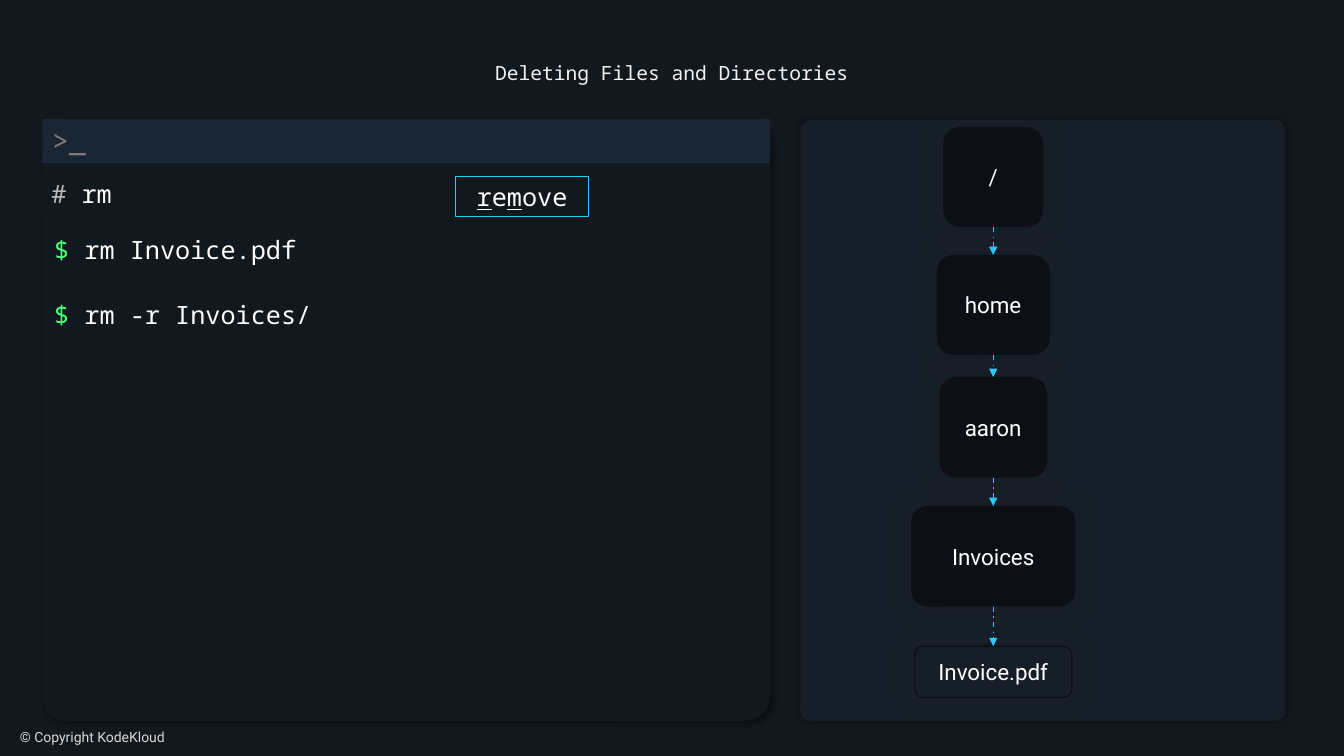
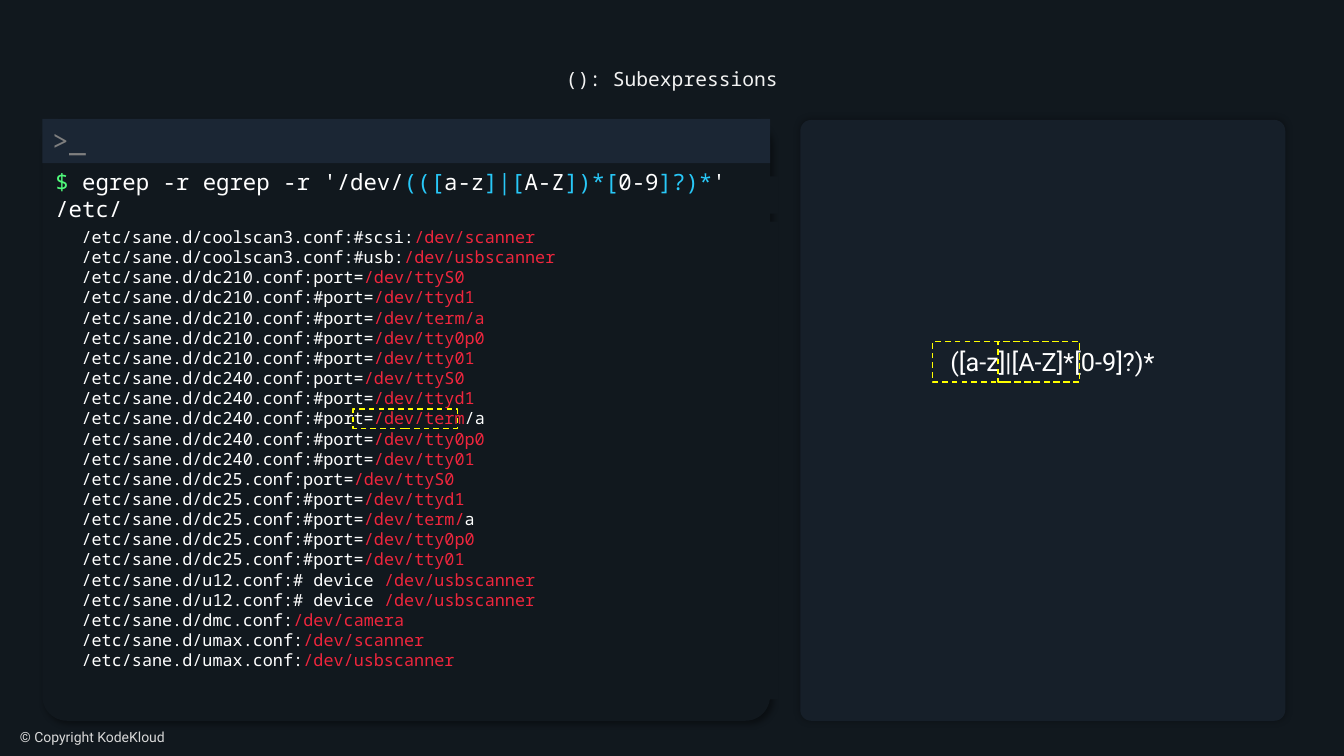
"""Build two dark terminal slides: deleting files, and regex subexpressions."""
from lxml import etree
from pptx import Presentation
from pptx.dml.color import RGBColor
from pptx.enum.dml import MSO_LINE
from pptx.enum.shapes import MSO_CONNECTOR, MSO_SHAPE
from pptx.enum.text import MSO_ANCHOR, MSO_AUTO_SIZE, PP_ALIGN
from pptx.oxml.ns import qn
from pptx.util import Inches, Pt

RECT, ROUND = MSO_SHAPE.RECTANGLE, MSO_SHAPE.ROUNDED_RECTANGLE
STRAIGHT = MSO_CONNECTOR.STRAIGHT
DASH, DASH_DOT = MSO_LINE.DASH, MSO_LINE.DASH_DOT
TOP, MIDDLE = MSO_ANCHOR.TOP, MSO_ANCHOR.MIDDLE
LEFT, CENTER = PP_ALIGN.LEFT, PP_ALIGN.CENTER
GROW, FIXED = MSO_AUTO_SIZE.SHAPE_TO_FIT_TEXT, MSO_AUTO_SIZE.NONE


class Theme:
    """Colours, fonts, type sizes and shadows of the deck."""
    back, panel, bar, node = "11181E", "161F29", "1B2634", "0C1016"
    white, title, footer, muted, hash = "FFFFFF", "F2F2F2", "D8D8D8", "7F7F7F", "BABABA"
    green, cyan, red, yellow = "50FA7B", "28C8F8", "EF263D", "FFFF00"
    mono, sans = "Noto Sans Mono", "Roboto"
    small, output, heading, body, command, prompt = 10, 12, 14, 16, 18, 20
    panel_shadow = ("000000", 30, 5, 0, 0)
    terminal_shadow = ("000000", 40, 4, 3, 45)
    node_shadow = ("181818", 30, 15.4, 0, 0)


prs = Presentation()
prs.slide_width, prs.slide_height = Inches(13.33), Inches(7.5)
COL, ROW = prs.slide_width / 100, prs.slide_height / 100
blank = prs.slide_layouts[6]
background = prs.slide_master.background.fill
background.solid()
background.fore_color.rgb = RGBColor.from_string(Theme.back)


def add_box(s, grid, kind=None, fill=None, line=None, width=1, dash=None, radius=None, shadow=None):
    """Add a shape, or a text box if kind is None, at a place in columns and rows."""
    x, y, w, h = grid
    place = [int(n) for n in (x * COL, y * ROW, w * COL, h * ROW)]
    if kind is None:
        return s.shapes.add_textbox(*place)
    sp = s.shapes.add_shape(kind, *place)
    sp.shadow.inherit = False
    if radius is not None:
        sp.adjustments[0] = radius
    for part, color in ((sp.fill, fill), (sp.line.fill, line)):
        if color:
            part.solid()
            part.fore_color.rgb = RGBColor.from_string(color)
        else:
            part.background()
    if line:
        sp.line.width = Pt(width)
        sp.line.dash_style = dash
    if shadow:
        color, alpha, blur, dist, angle = shadow
        effects = sp._element.spPr.find(qn("a:effectLst"))
        outer = etree.SubElement(effects, qn("a:outerShdw"), blurRad=str(Pt(blur)),
                                 dist=str(Pt(dist)), dir=str(angle * 60000), rotWithShape="0")
        rgb = etree.SubElement(outer, qn("a:srgbClr"), val=color)
        etree.SubElement(rgb, qn("a:alpha"), val=str(alpha * 1000))
    return sp


def write(sp, lines, size, name=Theme.mono, align=LEFT, anchor=MIDDLE, auto=GROW):
    """Fill a shape with lines, each a list of (text, colour[, underline]) runs."""
    tf = sp.text_frame
    frame = {"word_wrap": True, "auto_size": auto, "vertical_anchor": anchor,
             "margin_left": Inches(0.1), "margin_right": Inches(0.1),
             "margin_top": Inches(0.05), "margin_bottom": Inches(0.05)}
    for key, value in frame.items():
        setattr(tf, key, value)
    for i, runs in enumerate(lines):
        p = tf.paragraphs[0] if i == 0 else tf.add_paragraph()
        p.alignment = align
        for text, color, *underline in runs:
            r = p.add_run()
            r.text = text
            for key, value in {"size": Pt(size), "name": name, "underline": bool(underline)}.items():
                setattr(r.font, key, value)
            r.font.color.rgb = RGBColor.from_string(color)


slides = []
for title, title_row in (("Deleting Files and Directories", 5.2), ("(): Subexpressions", 6)):
    s = prs.slides.add_slide(blank)
    write(add_box(s, (0, 95.73, 13.73, 4.27)), [[("© Copyright KodeKloud", Theme.footer)]],
          Theme.small, Theme.sans, CENTER, TOP)
    add_box(s, (59.55, 15.87, 36.08, 79.47), ROUND, Theme.panel, radius=0.022, shadow=Theme.panel_shadow)
    add_box(s, (3.15, 15.87, 54.15, 79.47), ROUND, Theme.back, radius=0.041, shadow=Theme.terminal_shadow)
    write(add_box(s, (3.15, 15.73, 54.15, 5.87), RECT, Theme.bar), [[(">_", Theme.muted)]],
          Theme.prompt, anchor=TOP)
    write(add_box(s, (33.75, title_row, 32.5, 8.8)), [[(title, Theme.title)]],
          Theme.heading, align=CENTER, auto=FIXED)
    slides.append(s)
deleting, regex = slides

commands = [("$", Theme.green, " rm Invoice.pdf", (3.3, 30.27, 46.2, 5.33)),
            ("$", Theme.green, " rm -r Invoices/", (3.3, 38.93, 46.2, 5.33)),
            ("#", Theme.hash, " rm", (3.08, 22.93, 36.45, 5.33))]
for sign, color, text, grid in commands:
    write(add_box(deleting, grid, RECT, Theme.back), [[(sign, color), (text, Theme.white)]], Theme.command)

remove = add_box(deleting, (33.9, 23.33, 9.9, 5.33), RECT, line=Theme.cyan, width=0.75)
write(remove, [[("r", Theme.white, True), ("e", Theme.white), ("m", Theme.white, True), ("ove", Theme.white)]],
      Theme.command, align=CENTER, anchor=TOP)

TREE_AXIS = 73.9
tree = [("/", 16.8, 7.43, 13.2), ("home", 33.73, 8.4, 13.2), ("aaron", 49.87, 8.03, 13.3),
        ("Invoices", 66.93, 12.23, 13.3), ("Invoice.pdf", 85.47, 11.7, 6.8)]
parent = None
for name, row, width, height in tree:
    is_file = name.endswith(".pdf")
    look = {"line": Theme.node} if is_file else {"fill": Theme.node}
    node = add_box(deleting, (TREE_AXIS - width / 2, row, width, height), ROUND,
                   radius=0.167, shadow=Theme.node_shadow, **look)
    write(node, [[(name, Theme.white)]], Theme.body, Theme.sans, CENTER, auto=FIXED)
    if parent is not None:
        arrow = deleting.shapes.add_connector(STRAIGHT, 0, 0, 0, 0)
        arrow.begin_connect(parent, 2)
        arrow.end_connect(node, 0)
        arrow.line.color.rgb = RGBColor.from_string(Theme.cyan)
        arrow.line.width = Pt(1)
        arrow.line.dash_style = DASH_DOT
        spPr = arrow._element.spPr
        etree.SubElement(spPr.find(qn("a:ln")), qn("a:tailEnd"), type="triangle")
        etree.SubElement(spPr, qn("a:effectLst"))
    parent = node

pattern = [("$", Theme.green), (" egrep -r egrep -r '/dev/", Theme.white)]
for symbols, text in (("(([", "a-z"), ("]|[", "A-Z"), ("])*[", "0-9"), ("]?)*", "' /etc/")):
    pattern += [(symbols, Theme.cyan), (text, Theme.white)]
write(add_box(regex, (3.38, 23.33, 54.53, 4.93), RECT, Theme.back), [pattern], Theme.body)

matches = [("coolscan3.conf:#scsi:", "/dev/scanner", ""), ("coolscan3.conf:#usb:", "/dev/usbscanner", "")]
for conf, term, rest in (("dc210", "/dev/term/a", ""), ("dc240", "/dev/term", "/a"), ("dc25", "/dev/term/", "a")):
    matches.append((f"{conf}.conf:port=", "/dev/ttyS0", ""))
    for device, tail in (("/dev/ttyd1", ""), (term, rest), ("/dev/tty0p0", ""), ("/dev/tty01", "")):
        matches.append((f"{conf}.conf:#port=", device, tail))
matches += [("u12.conf:# device ", "/dev/usbscanner", "")] * 2
matches += [("dmc.conf:", "/dev/camera", ""), ("umax.conf:", "/dev/scanner", ""),
            ("umax.conf:", "/dev/usbscanner", "")]
output = []
for source, device, tail in matches:
    runs = [("/etc/sane.d/" + source, Theme.white), (device, Theme.red)]
    output.append(runs + [(tail, Theme.white)] if tail else runs)
write(add_box(regex, (5.33, 29.33, 52.58, 63.2), RECT, Theme.back), output, Theme.output, anchor=TOP)

write(add_box(regex, (67.13, 45.2, 22.35, 5.33)), [[("([a-z]|[A-Z]*[0-9]?)*", Theme.white)]],
      Theme.command, Theme.sans, CENTER, TOP)
for grid in ((74.25, 45.2, 6.08, 5.33), (69.38, 45.2, 10.95, 5.33), (26.25, 54.13, 7.8, 2.53)):
    add_box(regex, grid, RECT, line=Theme.yellow, dash=DASH)

prs.save("out.pptx")
